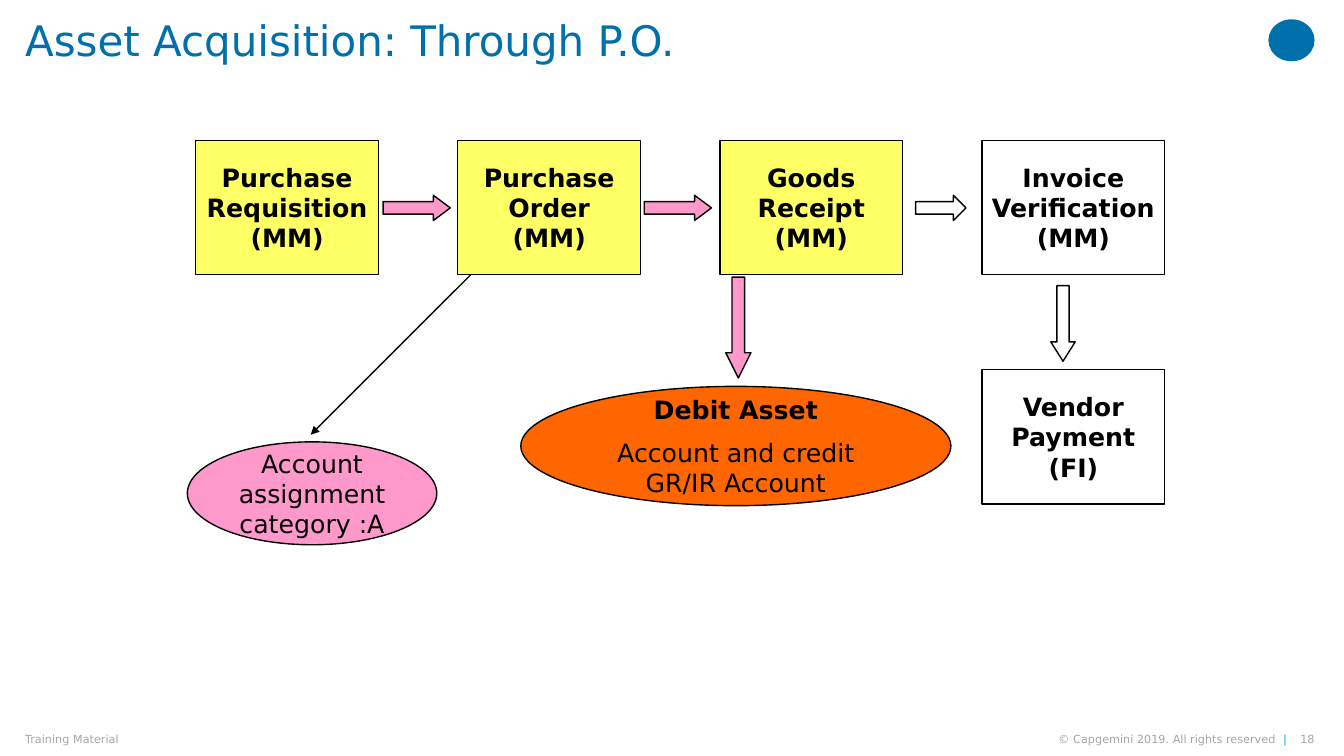
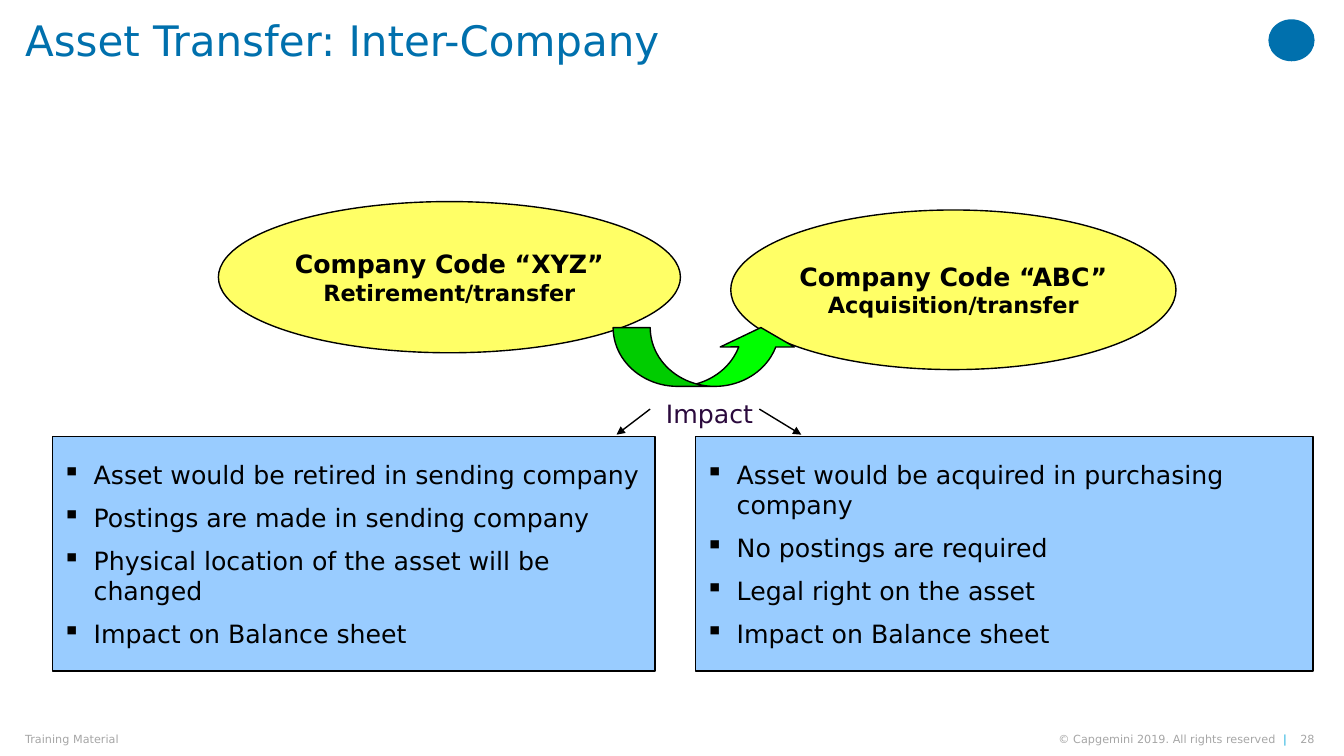
import pptx
import pptx.util
import pptx.dml.color
import pptx.enum.shapes
import pptx.enum.text
from lxml import etree

SHAPE = pptx.enum.shapes.MSO_SHAPE
ALIGN = pptx.enum.text.PP_ALIGN
ANCHOR = pptx.enum.text.MSO_ANCHOR
RGB = pptx.dml.color.RGBColor.from_string
Pt = pptx.util.Pt

FONT = "DejaVu Sans"
COLORS = {
    "title": "0070AD", "accent": "12ABDB", "footer": "A6A6A6", "impact": "2B0A3D",
    "ink": "000000", "white": "FFFFFF", "yellow": "FFFF66", "pink": "FF99CC",
    "orange": "FF6600", "sky": "99CCFF", "green": "00FF00",
}
BODY, SUB, SMALL, HEADLINE = 18, 16, 8, 30

deck = pptx.Presentation()
deck.slide_width = pptx.util.Inches(13.33)
deck.slide_height = pptx.util.Inches(7.5)
col = deck.slide_width / 160
row = deck.slide_height / 90


def place(slide, kind, area, fill=None, lines=(), size=BODY, bold=False, color="ink",
          align=ALIGN.CENTER, gap=0, bullet=None, wrap=True, outline=True, adjust=()):
    left, top, width, height = area
    box = [int(left * col), int(top * row), int(width * col), int(height * row)]
    if kind is None:
        shape = slide.shapes.add_textbox(*box)
    else:
        shape = slide.shapes.add_shape(kind, *box)
        shape.shadow.inherit = False
        shape.fill.solid()
        shape.fill.fore_color.rgb = RGB(COLORS[fill])
        if outline:
            shape.line.color.rgb = RGB(COLORS["ink"])
            shape.line.width = Pt(1)
        else:
            shape.line.fill.background()
        for index, value in enumerate(adjust):
            shape.adjustments[index] = value
    frame = shape.text_frame
    frame.word_wrap = wrap
    if lines:
        frame.text = "\n".join(lines)
        frame.vertical_anchor = ANCHOR.MIDDLE
    for index, paragraph in enumerate(frame.paragraphs if lines else ()):
        paragraph.alignment = align
        if index and gap:
            paragraph.space_before = Pt(gap)
        if bullet:
            properties = paragraph._p.get_or_add_pPr()
            indent = pptx.util.Inches(0.31)
            properties.set("marL", str(indent))
            properties.set("indent", str(-indent))
            etree.SubElement(properties, pptx.oxml.ns.qn("a:buChar")).set("char", bullet)
        for run in paragraph.runs:
            run.font.name = FONT
            run.font.size = Pt(size)
            run.font.bold = bold
            run.font.color.rgb = RGB(COLORS[color])
    return shape


def point(slide, start, end):
    pointer = slide.shapes.add_connector(
        pptx.enum.shapes.MSO_CONNECTOR.STRAIGHT,
        int(start[0] * col), int(start[1] * row), int(end[0] * col), int(end[1] * row))
    pointer.line.color.rgb = RGB(COLORS["ink"])
    pointer.line.width = Pt(1)
    stroke = pointer.line._get_or_add_ln()
    etree.SubElement(stroke, pptx.oxml.ns.qn("a:tailEnd")).set("type", "triangle")
    etree.SubElement(pointer._element.spPr, pptx.oxml.ns.qn("a:effectLst"))


pages = []
for headline, number in [("Asset Acquisition: Through P.O.", "18"),
                         ("Asset Transfer: Inter-Company", "28")]:
    page = deck.slides.add_slide(deck.slide_layouts[6])
    pages.append(page)
    place(page, SHAPE.OVAL, (151, 2.3, 5.5, 5), "title", outline=False)
    title = place(page, None, (3, 0, 146, 9.5), lines=[headline], size=HEADLINE,
                  color="title", align=ALIGN.LEFT).text_frame
    title.vertical_anchor = ANCHOR.TOP
    title.paragraphs[0].line_spacing = 0.9
    frames = [title]
    for text, left, width, align in [
        ("Training Material", 3, 62, ALIGN.LEFT),
        ("© Capgemini 2019. All rights reserved  ", 118.3, 34.9, ALIGN.RIGHT),
        (number, 154.2, 2.3, ALIGN.RIGHT),
    ]:
        footer = place(page, None, (left, 87.25, width, 1.5), lines=[text], size=SMALL,
                       color="footer", align=align).text_frame
        frames.append(footer)
        if text.startswith("©"):
            divider = footer.paragraphs[0].add_run()
            divider.text = "|"
            divider.font.name = FONT
            divider.font.size = Pt(SMALL)
            divider.font.color.rgb = RGB(COLORS["accent"])
    for frame in frames:
        frame.margin_left = frame.margin_right = frame.margin_top = frame.margin_bottom = 0
    title.margin_top = pptx.util.Inches(0.2)

acquisition, transfer = pages

step_left, step_pitch, step_width, step_height = 23.3, 31.2, 21.75, 16
for column, top, fill, lines, wrap in [
    (0, 16.7, "yellow", ["Purchase Requisition (MM)"], True),
    (1, 16.7, "yellow", ["Purchase Order (MM)"], True),
    (2, 16.7, "yellow", ["Goods Receipt (MM)"], True),
    (3, 16.7, "white", ["Invoice", "Verification", "(MM)"], False),
    (3, 44, "white", ["Vendor", "Payment", "(FI)"], False),
]:
    place(acquisition, SHAPE.RECTANGLE,
          (step_left + column * step_pitch, top, step_width, step_height),
          fill, lines, bold=True, wrap=wrap)

for kind, area, fill, head in [
    (SHAPE.RIGHT_ARROW, (45.6, 23.25, 8, 3), "pink", 0.67),
    (SHAPE.RIGHT_ARROW, (76.7, 23.25, 8, 3), "pink", 0.67),
    (SHAPE.RIGHT_ARROW, (109, 23.25, 6, 3), "white", 0.5),
    (SHAPE.DOWN_ARROW, (86.4, 33, 3, 12), "pink", 1),
    (SHAPE.DOWN_ARROW, (125.1, 34, 2.9, 9), "white", 0.79),
]:
    place(acquisition, kind, area, fill, adjust=(0.5, head))

place(acquisition, SHAPE.OVAL, (22.3, 52.6, 29.7, 12.25), "pink",
      ["Account assignment category :A"])
posting = place(acquisition, SHAPE.OVAL, (62, 46, 51.2, 14.2), "orange",
                ["Debit Asset", "Account and credit GR/IR Account"], gap=9)
posting.text_frame.paragraphs[0].runs[0].font.bold = True
point(acquisition, (56, 32.75), (37, 51.75))

for area, impacts in [
    ((82.8, 52, 73.5, 27.9),
     ["Asset would be acquired in purchasing company", "No postings are required",
      "Legal right on the asset", "Impact on Balance sheet"]),
    ((6.25, 52, 71.75, 27.9),
     ["Asset would be retired in sending company", "Postings are made in sending company",
      "Physical location of the asset will be changed", "Impact on Balance sheet"]),
]:
    place(transfer, SHAPE.RECTANGLE, area, "sky", impacts, align=ALIGN.LEFT,
          gap=9, bullet="▪")

for area, lines in [
    ((87, 25, 53, 19), ["Company Code “ABC”", "Acquisition/transfer"]),
    ((26, 24, 55, 18), ["Company Code “XYZ”", "Retirement/transfer"]),
]:
    company = place(transfer, SHAPE.OVAL, area, "yellow", lines, bold=True, wrap=False)
    company.text_frame.paragraphs[1].runs[0].font.size = Pt(SUB)

place(transfer, None, (78.1, 46.8, 13.6, 4.8), lines=["Impact"], color="impact",
      align=ALIGN.LEFT)
place(transfer, SHAPE.CURVED_UP_ARROW, (73, 39, 22, 7), "green",
      adjust=(0.63, 1.26, 0.33))
point(transfer, (77.4, 48.7), (73.4, 51.75))
point(transfer, (90.4, 48.7), (95.4, 51.75))

deck.save("out.pptx")
